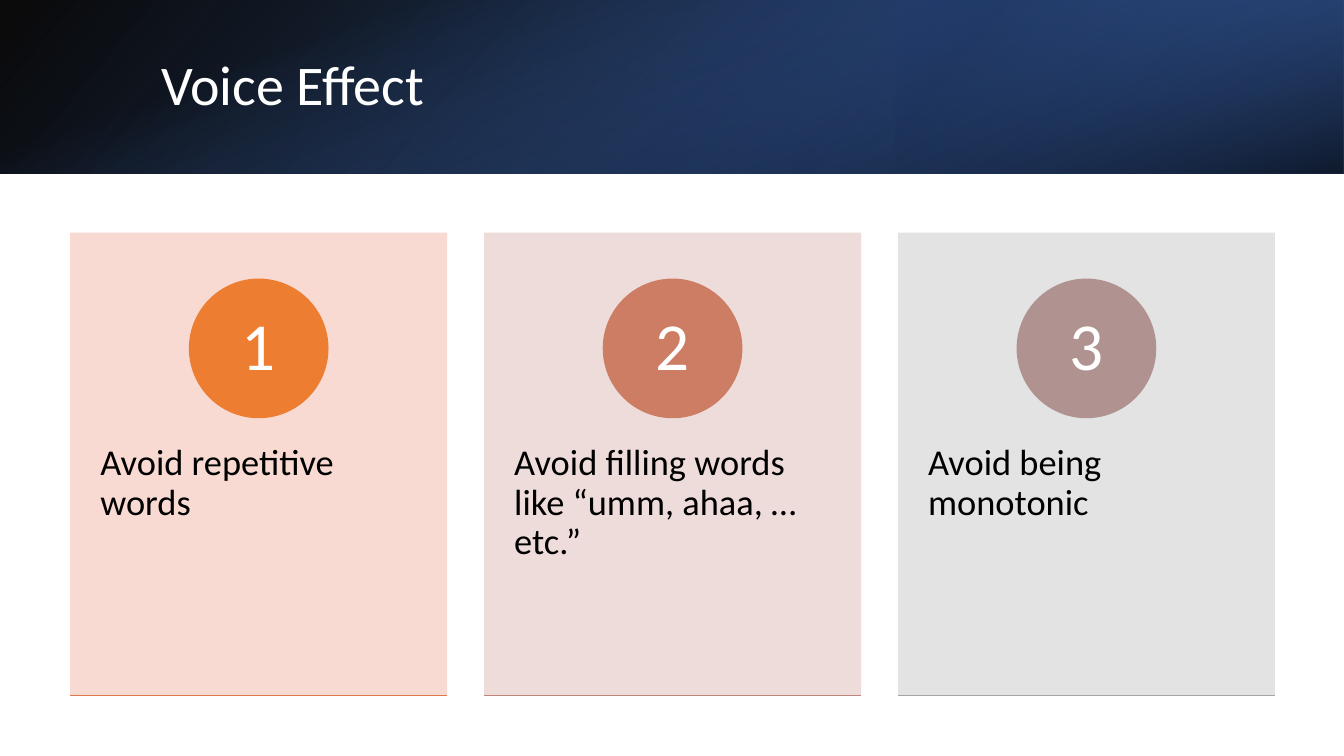
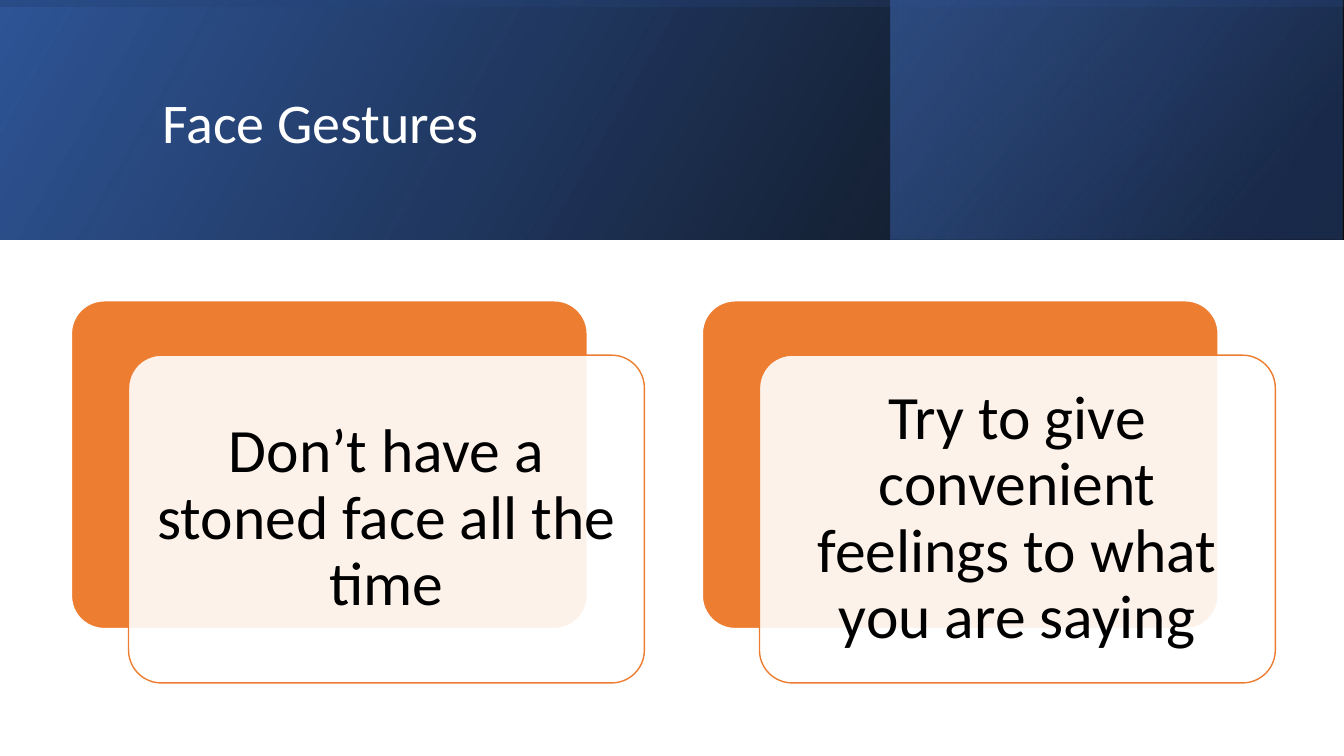
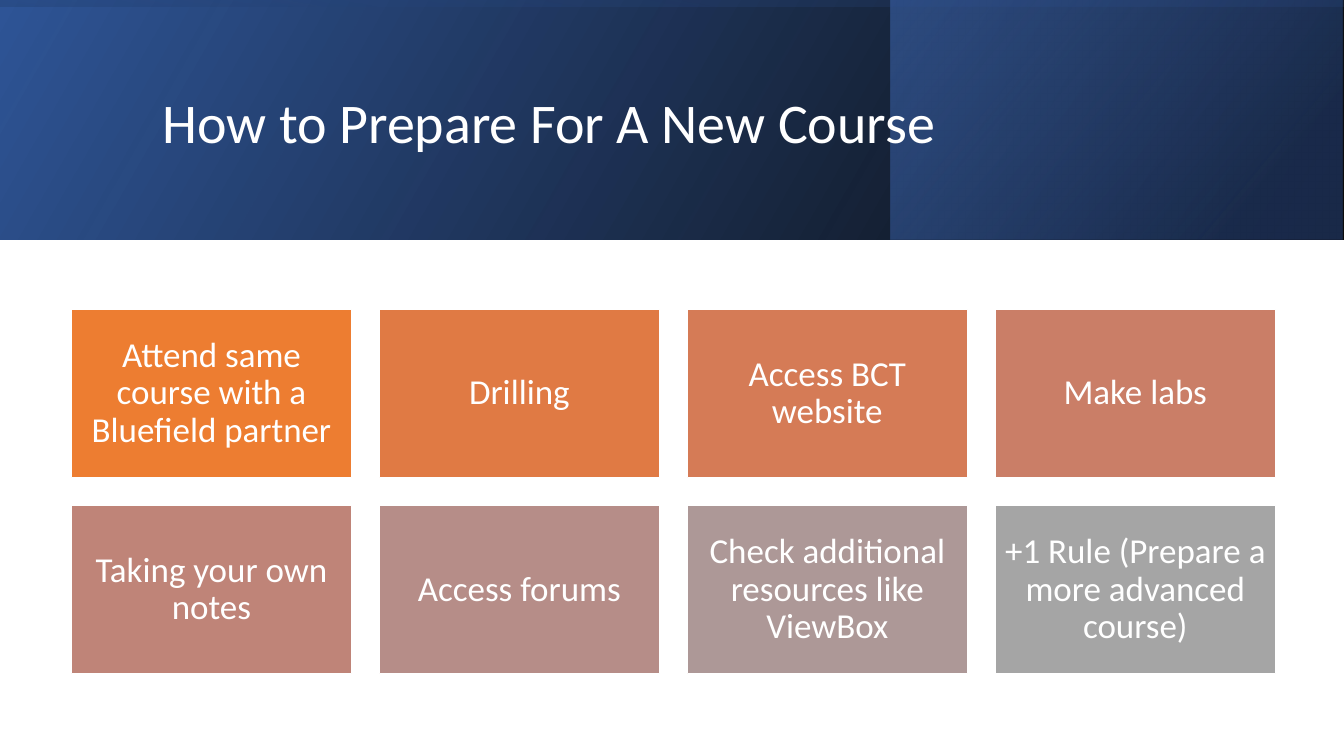
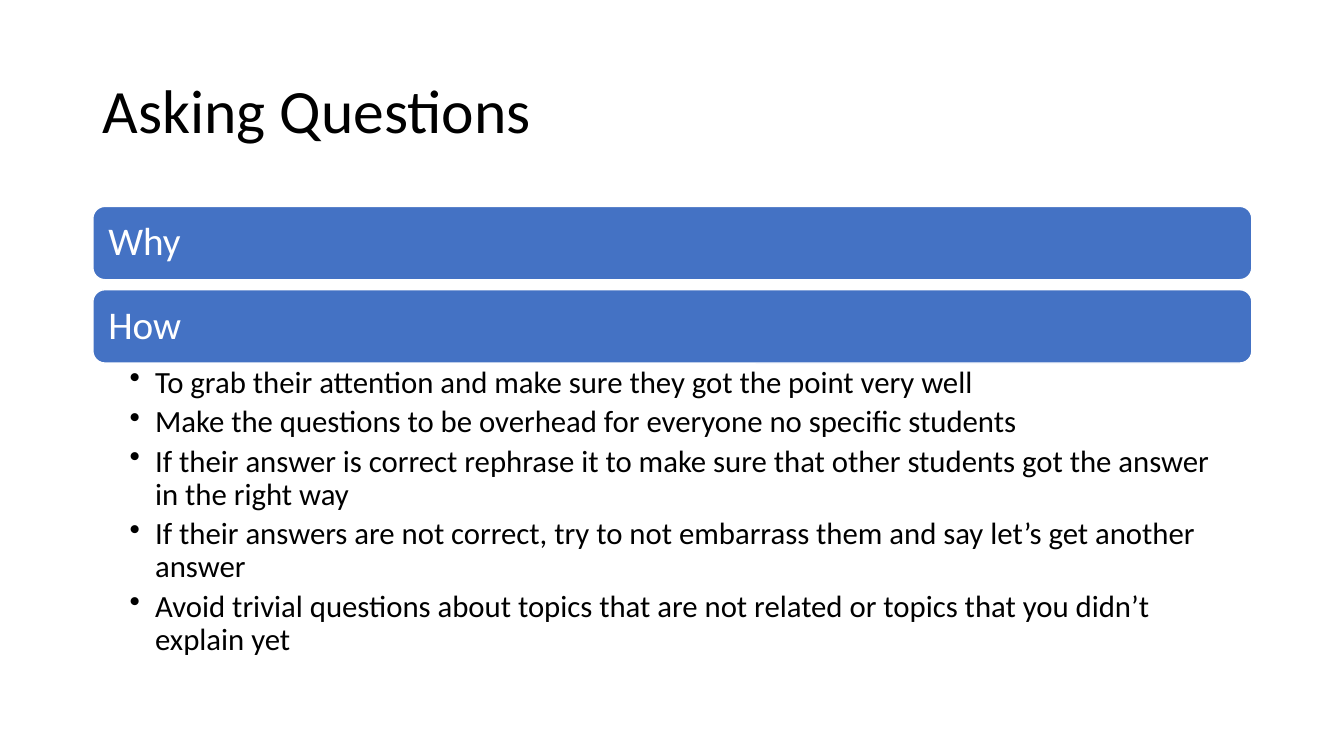
from pptx import Presentation
from pptx.dml.color import RGBColor
from pptx.enum.shapes import MSO_CONNECTOR, MSO_SHAPE
from pptx.enum.text import MSO_ANCHOR, MSO_AUTO_SIZE, PP_ALIGN
from pptx.oxml import parse_xml
from pptx.oxml.ns import nsdecls, qn
from pptx.util import Cm, Pt

RECT, ROUND, OVAL = MSO_SHAPE.RECTANGLE, MSO_SHAPE.ROUNDED_RECTANGLE, MSO_SHAPE.OVAL
LINE = MSO_CONNECTOR.STRAIGHT
LEFT, MID = PP_ALIGN.LEFT, PP_ALIGN.CENTER
TOP, CENTER = MSO_ANCHOR.TOP, MSO_ANCHOR.MIDDLE
FIXED = MSO_AUTO_SIZE.NONE

# Shared style, lengths in centimetres
FONT = "Calibri"
WIDE, HIGH = 33.87, 19.05
WHITE, BLACK = "FFFFFF", "000000"
BLUE, DEEP, NAVY = "4472C4", "2F5597", "203864"
ORANGE, GRAY = "ED7D31", "A5A5A5"


def rgb(code):
    return RGBColor.from_string(code)


def write(frame, text, size=25, color=BLACK, align=LEFT, anchor=CENTER,
          pad=(0.25, 0.13, 0.25, 0.13), after=0, bullet=None):
    """Fill a text frame; a list of strings gives one paragraph each."""
    frame.word_wrap = True
    frame.auto_size = FIXED
    frame.vertical_anchor = anchor
    (frame.margin_left, frame.margin_top,
     frame.margin_right, frame.margin_bottom) = map(Cm, pad)
    lines = [text] if isinstance(text, str) else text
    for i, line in enumerate(lines):
        para = frame.paragraphs[0] if i == 0 else frame.add_paragraph()
        para.alignment = align
        para.line_spacing = 0.9
        para.space_before = Pt(0)
        para.space_after = Pt(after)
        run = para.add_run()
        run.text = line
        run.font.name = FONT
        run.font.size = Pt(size)
        run.font.color.rgb = rgb(color)
        if bullet:
            props = para._p.get_or_add_pPr()
            props.set("marL", str(Cm(0.64)))
            props.set("indent", str(-Cm(0.64)))
            props.append(parse_xml(f'<a:buChar {nsdecls("a")} char="{bullet}"/>'))


class Deck:
    def __init__(self):
        self.prs = Presentation()
        self.prs.slide_width = Cm(WIDE)
        self.prs.slide_height = Cm(HIGH)
        self.slide = None

    def start(self):
        self.slide = self.prs.slides.add_slide(self.prs.slide_layouts[5])

    def title(self, text, box, size=40, color=WHITE):
        shape = self.slide.shapes.title
        shape.left, shape.top, shape.width, shape.height = map(Cm, box)
        write(shape.text_frame, text, size=size, color=color)
        # Bring the title in front of the bands
        self.slide.shapes._spTree.append(shape._element)

    def shape(self, kind, box, fill=None, line=None, alpha=None, adj=None):
        shape = self.slide.shapes.add_shape(kind, *map(Cm, box))
        shape.shadow.inherit = False
        if adj is not None:
            shape.adjustments[0] = adj
        if fill:
            shape.fill.solid()
            shape.fill.fore_color.rgb = rgb(fill)
        else:
            shape.fill.background()
        if alpha:
            tint = shape._element.spPr.find(qn("a:solidFill"))[0]
            tint.append(parse_xml(f'<a:alpha {nsdecls("a")} val="{alpha * 1000}"/>'))
        if line:
            shape.line.color.rgb = rgb(line)
            shape.line.width = Pt(1)
        else:
            shape.line.fill.background()
        return shape

    def rule(self, left, top, width, color):
        line = self.slide.shapes.add_connector(
            LINE, Cm(left), Cm(top), Cm(left + width), Cm(top))
        line.line.color.rgb = rgb(color)
        line.line.width = Pt(1)
        line._element.spPr.append(parse_xml(f'<a:effectLst {nsdecls("a")}/>'))

    def text(self, text, box, **form):
        shape = self.slide.shapes.add_textbox(*map(Cm, box))
        write(shape.text_frame, text, **form)

    def band(self, box, stops, angle, turn=0, flip=True):
        """A see-through gradient; stops are (place, colour, opacity)."""
        shape = self.shape(RECT, box)
        shape.rotation = turn
        props = shape._element.spPr
        if flip:
            props.find(qn("a:xfrm")).set("flipH", "1")
        marks = "".join(
            f'<a:gs pos="{place * 1000}"><a:srgbClr val="{color}">'
            f'<a:alpha val="{alpha * 1000}"/></a:srgbClr></a:gs>'
            for place, color, alpha in stops)
        props.replace(props.find(qn("a:noFill")), parse_xml(
            f'<a:gradFill {nsdecls("a")}><a:gsLst>{marks}</a:gsLst>'
            f'<a:lin ang="{angle * 60000}" scaled="0"/></a:gradFill>'))

    def head(self, text):
        """The tall blue header with its title."""
        high = 6.03
        self.band((0, 0, WIDE, high), [(0, BLACK, 96), (100, DEEP, 100)], 330)
        self.band((22.45, 0, 11.39, high), [(19, NAVY, 68), (100, BLUE, 48)], 320)
        self.band(upright(high), [(23, DEEP, 16), (99, BLACK, 45)], 350, turn=270)
        self.title(text, (3.84, 0.97, 27, 4.37))


def upright(high):
    """Box that covers a full-width band once it is turned by 90 degrees."""
    shift = (WIDE - high) / 2
    return shift, -shift, high, WIDE


def voice(deck):
    deck.start()
    high = 4.37
    deck.band((0, 0, WIDE, high), [(0, BLACK, 96), (100, DEEP, 100)], 140)
    deck.band((22.58, 0, 11.29, high), [(19, NAVY, 68), (100, BLUE, 79)], 320, turn=180)
    deck.band(upright(high), [(23, BLUE, 0), (99, BLACK, 74)], 340, turn=90, flip=False)
    deck.title("Voice Effect", (3.81, 0.97, 27.89, 2.44))

    # Numbered cards
    cards = [
        ("Avoid repetitive words", "F8D7CE", ORANGE, "DC7A4B"),
        ("Avoid filling words like “umm, ahaa, … etc.”", "EDD9D7", "CC7D64", "BD867B"),
        ("Avoid being monotonic", "E1E1E1", "B09391", GRAY),
    ]
    top, wide, tall, disc = 5.86, 9.5, 11.66, 3.52
    for i, (text, pale, strong, edge) in enumerate(cards):
        left = 1.77 + i * 10.43
        card = deck.shape(RECT, (left, top, wide, tall), pale, alpha=90)
        write(card.text_frame, text, size=26, anchor=TOP, pad=(0.76, 5.34, 0.74, 0.9))
        spot = deck.shape(OVAL, (left + (wide - disc) / 2, 7.02, disc, disc), strong)
        write(spot.text_frame, str(i + 1), size=48, color=WHITE, align=MID,
              pad=(0, 0, 0, 0))
        deck.rule(left, top + tall, wide, edge)


def face(deck):
    deck.start()
    deck.head("Face Gestures")
    # Pairs of overlapping panels
    texts = ["Don’t have a stoned face all the time",
             "Try to give convenient feelings to what you are saying"]
    wide, tall = 13, 8.26
    for i, text in enumerate(texts):
        left, top = 1.8 + i * 15.9, 7.58
        deck.shape(ROUND, (left, top, wide, tall), ORANGE, WHITE, adj=0.1)
        front = deck.shape(ROUND, (left + 1.44, top + 1.37, wide, tall),
                           WHITE, ORANGE, alpha=90, adj=0.1)
        write(front.text_frame, text, size=44, align=MID, pad=(0.42,) * 4)


def course(deck):
    deck.start()
    deck.head("How to Prepare For A New Course")
    # Grid of tiles, four in a row
    tiles = [
        ("Attend same course with a Bluefield partner", ORANGE),
        ("Drilling", "E07A44"),
        ("Access BCT website", "D57B56"),
        ("Make labs", "CA7E67"),
        ("Taking your own notes", "BF8478"),
        ("Access forums", "B68D88"),
        ("Check additional resources like ViewBox", "AD9897"),
        ("+1 Rule (Prepare a more advanced course)", GRAY),
    ]
    wide, tall, gap = 7.06, 4.24, 0.7
    for i, (text, color) in enumerate(tiles):
        row, col = divmod(i, 4)
        box = (1.8 + col * (wide + gap), 7.8 + row * (tall + gap), wide, tall)
        tile = deck.shape(RECT, box, color, WHITE)
        write(tile.text_frame, text, color=WHITE, align=MID, pad=(0.25,) * 4)


def ask(deck):
    deck.start()
    left, wide = 2.34, 29.21
    deck.title("Asking Questions", (left, 1.01, wide, 3.68), size=44, color=BLACK)
    # Heading bars
    for i, text in enumerate(["Why", "How"]):
        bar = deck.shape(ROUND, (left, 5.2 + i * 2.1, wide, 1.85), BLUE, WHITE)
        write(bar.text_frame, text, size=28, color=WHITE, pad=(0.3,) * 4)
    # Advice
    deck.text([
        "To grab their attention and make sure they got the point very well",
        "Make the questions to be overhead for everyone no specific students",
        "If their answer is correct rephrase it to make sure that other students "
        "got the answer in the right way",
        "If their answers are not correct, try to not embarrass them and say "
        "let’s get another answer",
        "Avoid trivial questions about topics that are not related or topics "
        "that you didn’t explain yet",
    ], (left, 9.14, wide, 7.9), size=22, anchor=TOP, after=4.4, bullet="•",
        pad=(0.93, 0.1, 0.56, 0.1))


def main():
    deck = Deck()
    for build in (voice, face, course, ask):
        build(deck)
    deck.prs.save("out.pptx")


if __name__ == "__main__":
    main()
